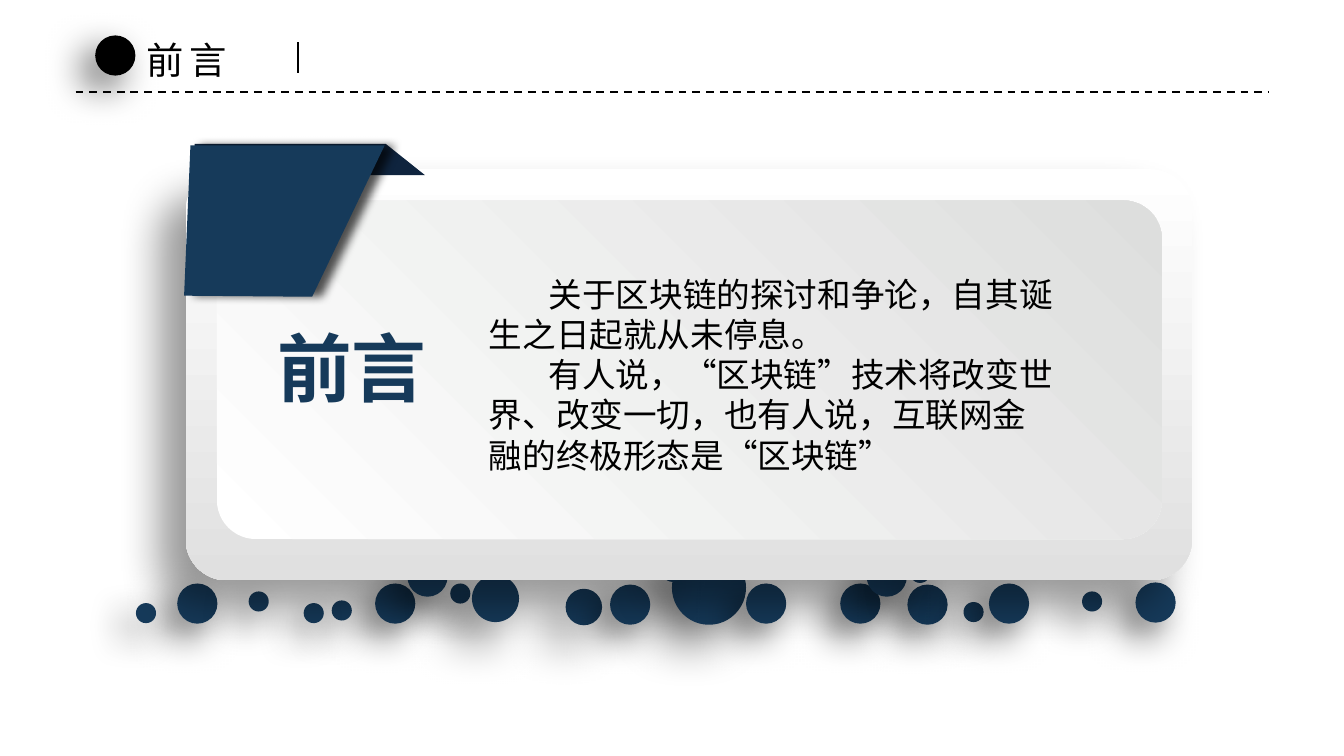
from lxml import etree
from pptx import Presentation
from pptx.dml.color import RGBColor
from pptx.enum.dml import MSO_LINE
from pptx.enum.shapes import MSO_CONNECTOR, MSO_SHAPE
from pptx.enum.text import MSO_ANCHOR, MSO_AUTO_SIZE, PP_ALIGN
from pptx.oxml.ns import qn
from pptx.util import Cm, Pt

OVAL, ROUNDED = MSO_SHAPE.OVAL, MSO_SHAPE.ROUNDED_RECTANGLE
STRAIGHT, DASH = MSO_CONNECTOR.STRAIGHT, MSO_LINE.DASH
LEFT, CENTER = PP_ALIGN.LEFT, PP_ALIGN.CENTER
TOP, GROW = MSO_ANCHOR.TOP, MSO_AUTO_SIZE.SHAPE_TO_FIT_TEXT

NAVY, DARK_NAVY, BLACK = "163A5A", "0F243E", "000000"
CJK = "Noto Sans CJK SC"

# Shadows: opacity %, blur pt, distance pt, direction in degrees
SMALL_SHADOW = (60, 20, 10, 135)
LARGE_SHADOW = (50, 25, 15, 135)
CARD_SHADOW = (40, 22, 20, 135)
RIBBON_SHADOW = (67, 5, 5, 0)


def paint(fill, *colours, angle=0):
    """Fill with one colour, or with a two-colour gradient (angle counter-clockwise)."""
    if len(colours) == 1:
        fill.solid()
        fill.fore_color.rgb = RGBColor.from_string(colours[0])
        return
    fill.gradient()
    fill.gradient_angle = angle
    for stop, position, colour in zip(fill.gradient_stops, (0, 1), colours):
        stop.position = position
        stop.color.rgb = RGBColor.from_string(colour)


def write(sp, *paragraphs, size, font, colour=BLACK, bold=False, align=LEFT,
          line_spacing=None, letter_spacing=0, indent=0, wrap=True,
          inset=(0.25, 0.13)):
    tf = sp.text_frame
    tf.word_wrap, tf.auto_size, tf.vertical_anchor = wrap, GROW, TOP
    tf.margin_left = tf.margin_right = Cm(inset[0])
    tf.margin_top = tf.margin_bottom = Cm(inset[1])
    for i, text in enumerate(paragraphs):
        p = tf.add_paragraph() if i else tf.paragraphs[0]
        p.alignment, p.line_spacing = align, line_spacing
        if indent:
            p._p.get_or_add_pPr().set("indent", str(Cm(indent)))
        r = p.add_run()
        r.text = text
        r.font.size, r.font.name, r.font.bold = Pt(size), font, bold
        paint(r.font.fill, colour)
        rPr = r._r.get_or_add_rPr()
        rPr.set("lang", "zh-CN")
        etree.SubElement(rPr, qn("a:ea"), typeface=CJK)
        if letter_spacing:
            rPr.set("spc", str(letter_spacing * 100))


prs = Presentation()
prs.slide_width, prs.slide_height = Cm(25.4), Cm(14.29)
s = prs.slides.add_slide(prs.slide_layouts[5])
shadows = []  # (shape, shadow)

# Bubbles below the card: left, top, diameter
bubbles = [
    (12.7, 10.41, 1.4), (15.88, 11.03, 0.76), (7.09, 11.03, 0.76),
    (6.27, 11.35, 0.38), (17.15, 11.05, 0.76), (8.51, 11.03, 0.38),
    (18.21, 11.38, 0.38), (10.69, 11.13, 0.69), (18.69, 11.03, 0.76),
    (11.53, 11.05, 0.76), (20.45, 11.18, 0.38), (16.38, 10.52, 0.76),
    (5.74, 11.4, 0.38), (12.52, 10.62, 0.38), (8.92, 10.87, 0.89),
    (14.1, 11.03, 0.76), (3.35, 11.03, 0.76), (2.57, 11.4, 0.38),
    (7.7, 10.52, 0.76), (4.7, 11.18, 0.38), (17.2, 10.64, 0.38),
    (21.46, 11.01, 0.76),
]
for left, top, d in bubbles:
    sp = s.shapes.add_shape(OVAL, Cm(left), Cm(top), Cm(d), Cm(d))
    paint(sp.fill, NAVY)
    shadows.append((sp, LARGE_SHADOW if d in (0.69, 0.89, 1.4) else SMALL_SHADOW))

# Card: outer frame and inner panel
for box, radius, end, angle, shadow in [
    ((3.51, 3.2, 19.02, 7.77), 0.1, "E0E0E0", 270, CARD_SHADOW),
    ((4.1, 3.79, 17.86, 6.4), 0.115, "DDDEDD", 45, None),
]:
    sp = s.shapes.add_shape(ROUNDED, *map(Cm, box))
    sp.adjustments[0] = radius
    paint(sp.fill, "FFFFFF", end, angle=angle)
    shadows.append((sp, shadow))

heading = s.shapes.add_textbox(Cm(4.32), Cm(6.32), Cm(4.65), Cm(1.55))
write(heading, "前言", size=40, font=CJK, colour=NAVY, bold=True, align=CENTER,
      line_spacing=0.8, inset=(0.18, 0.1))

# Header: dot, title, divider and dashed rule
dot = s.shapes.add_shape(OVAL, Cm(1.8), Cm(0.67), Cm(0.76), Cm(0.76))
paint(dot.fill, BLACK)
shadows.append((dot, SMALL_SHADOW))

title = s.shapes.title
title.left, title.top, title.width, title.height = Cm(2.51), Cm(0.58), Cm(2.16), Cm(1.12)
write(title, "前言", size=20, font=CJK, letter_spacing=3, wrap=False)

for ends, width, dash in [
    ((1.43, 1.74, 23.98, 1.74), 1.05, DASH),
    ((5.63, 0.8, 5.63, 1.38), 1.5, None),
]:
    rule = s.shapes.add_connector(STRAIGHT, *map(Cm, ends))
    paint(rule.line.fill, BLACK)
    rule.line.width, rule.line.dash_style = Pt(width), dash
    etree.SubElement(rule._element.spPr, qn("a:effectLst"))

body = s.shapes.add_textbox(Cm(8.99), Cm(5.04), Cm(11.23), Cm(4.11))
write(body,
      "关于区块链的探讨和争论，自其诞生之日起就从未停息。",
      "有人说，“区块链”技术将改变世界、改变一切，也有人说，互联网金融的终极形态是“区块链”",
      size=18, font="Calibri", indent=1.13, line_spacing=Pt(21.6))

# Ribbon: folded back, then front
for points, colour, shadow in [
    ([(3.68, 2.72), (7.29, 2.72), (8.03, 3.31), (3.68, 3.31)], DARK_NAVY, None),
    ([(3.6, 2.75), (7.27, 2.75), (5.9, 5.61), (3.48, 5.59)], NAVY, RIBBON_SHADOW),
]:
    corners = [(Cm(x), Cm(y)) for x, y in points]
    outline = s.shapes.build_freeform(*corners[0])
    outline.add_line_segments(corners[1:], close=True)
    sp = outline.convert_to_shape()
    paint(sp.fill, colour)
    shadows.append((sp, shadow))

for sp, shadow in shadows:
    sp.line.fill.background()
    sp.shadow.inherit = False
    if shadow:
        opacity, blur, distance, direction = shadow
        effects = sp._element.spPr.find(qn("a:effectLst"))
        outer = etree.SubElement(
            effects, qn("a:outerShdw"), blurRad=str(Pt(blur)), dist=str(Pt(distance)),
            dir=str(direction * 60000), algn="ctr", rotWithShape="0")
        clr = etree.SubElement(outer, qn("a:srgbClr"), val=BLACK)
        etree.SubElement(clr, qn("a:alpha"), val=str(opacity * 1000))

prs.save("out.pptx")
